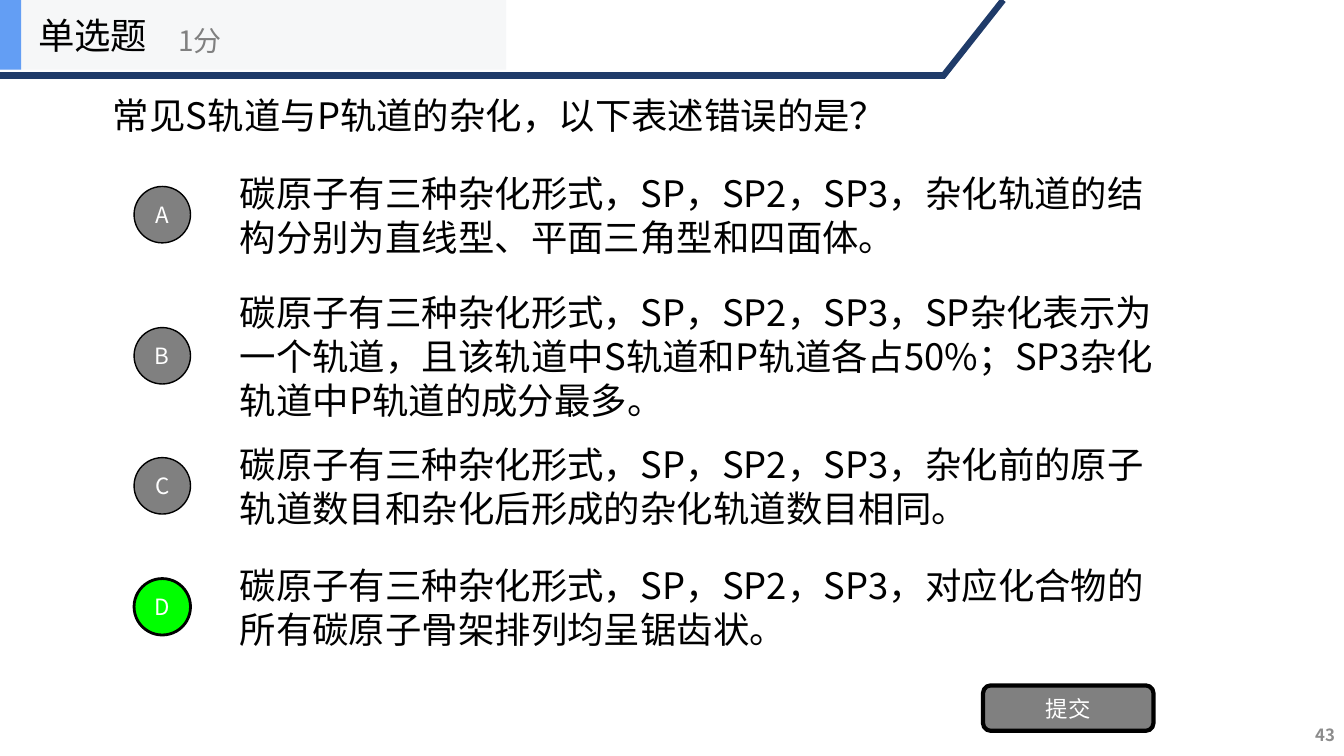
from dataclasses import dataclass

from lxml import etree
from pptx import Presentation
from pptx import util as u
from pptx.dml.color import RGBColor
from pptx.enum import shapes, text
from pptx.oxml.ns import qn
from pptx.shapes.autoshape import Shape
from pptx.slide import Slide

PX = 9144  # 100 px to the inch
FONT = "Noto Sans CJK SC"
BLACK = RGBColor(0x00, 0x00, 0x00)
WHITE = RGBColor(0xFF, 0xFF, 0xFF)
GREY = RGBColor(0x80, 0x80, 0x80)
PAGE_GREY = RGBColor(0x8C, 0x8C, 0x8C)
GREEN = RGBColor(0x00, 0xFF, 0x00)
NAVY = RGBColor(0x1F, 0x3B, 0x69)
BLUE = RGBColor(0x63, 0x9E, 0xF4)
PALE = RGBColor(0xF6, 0xF7, 0xF8)

LEFT, CENTER, RIGHT = text.PP_ALIGN.LEFT, text.PP_ALIGN.CENTER, text.PP_ALIGN.RIGHT
OVAL = shapes.MSO_SHAPE.OVAL
RECTANGLE = shapes.MSO_SHAPE.RECTANGLE
ROUNDED = shapes.MSO_SHAPE.ROUNDED_RECTANGLE


@dataclass(frozen=True)
class Box:
    left: int
    top: int
    width: int
    height: int

    def emu(self) -> tuple[int, int, int, int]:
        return self.left * PX, self.top * PX, self.width * PX, self.height * PX


@dataclass(frozen=True)
class Option:
    letter: str
    middle: int
    statement: str
    correct: bool = False


COMMON = "碳原子有三种杂化形式，SP，SP2，SP3，"
OPTIONS = [
    Option("A", 213, "杂化轨道的结构分别为直线型、平面三角型和四面体。"),
    Option("B", 353, "SP杂化表示为一个轨道，且该轨道中S轨道和P轨道各占50%；"
                     "SP3杂化轨道中P轨道的成分最多。"),
    Option("C", 482, "杂化前的原子轨道数目和杂化后形成的杂化轨道数目相同。"),
    Option("D", 602, "对应化合物的所有碳原子骨架排列均呈锯齿状。", correct=True),
]


def write(shape: Shape, words: str, size: int, color: RGBColor,
          align: text.PP_ALIGN = LEFT, wrap: bool = True, bold: bool = False) -> None:
    frame = shape.text_frame
    frame.text = words
    frame.word_wrap = wrap
    frame.auto_size = text.MSO_AUTO_SIZE.NONE
    frame.vertical_anchor = text.MSO_ANCHOR.MIDDLE
    paragraph = frame.paragraphs[0]
    paragraph.alignment = align
    paragraph.line_spacing = u.Pt(size * 1.2)
    font = paragraph.font
    font.name, font.size, font.bold = FONT, u.Pt(size), bold
    font.color.rgb = color
    defaults = paragraph._p.pPr.find(qn("a:defRPr"))
    east_asian = etree.Element(qn("a:ea"), typeface=FONT)
    defaults.find(qn("a:latin")).addnext(east_asian)


def add_label(slide: Slide, box: Box, words: str, size: int, color: RGBColor,
              align: text.PP_ALIGN = LEFT, wrap: bool = True, bold: bool = False) -> None:
    write(slide.shapes.add_textbox(*box.emu()), words, size, color, align, wrap, bold)


def add_filled(slide: Slide, kind: shapes.MSO_SHAPE, box: Box, fill: RGBColor,
               outline: int = 0) -> Shape:
    """Add a preset shape with a black outline of the given points, or none."""
    shape = slide.shapes.add_shape(kind, *box.emu())
    shape.shadow.inherit = False
    shape.fill.solid()
    shape.fill.fore_color.rgb = fill
    if outline:
        shape.line.color.rgb = BLACK
        shape.line.width = u.Pt(outline)
    else:
        shape.line.fill.background()
    return shape


def add_rule(slide: Slide, x1: int, y1: int, x2: int, y2: int) -> None:
    rule = slide.shapes.add_connector(
        shapes.MSO_CONNECTOR.STRAIGHT, x1 * PX, y1 * PX, x2 * PX, y2 * PX)
    rule.line.color.rgb = NAVY
    rule.line.width = u.Pt(4.5)
    etree.SubElement(rule._element.spPr, qn("a:effectLst"))


def add_option(slide: Slide, option: Option) -> None:
    add_label(slide, Box(228, option.middle - 35, 933, 70),
              COMMON + option.statement, 26, BLACK)
    badge = add_filled(slide, OVAL, Box(133, option.middle - 28, 56, 56),
                       GREEN if option.correct else GREY, 2 if option.correct else 1)
    write(badge, option.letter, 16, WHITE, CENTER, wrap=False)


def add_header(slide: Slide) -> None:
    add_rule(slide, 0, 75, 937, 75)
    add_rule(slide, 935, 76, 995, 0)
    add_filled(slide, RECTANGLE, Box(0, 0, 502, 69), PALE)
    add_filled(slide, RECTANGLE, Box(0, 0, 21, 69), BLUE)
    add_label(slide, Box(28, 0, 208, 69), "单选题", 26, BLACK, wrap=False)
    add_label(slide, Box(167, 12, 250, 56), "1分", 20, GREY, wrap=False)


def main() -> None:
    deck = Presentation()
    deck.slide_width, deck.slide_height = 1333 * PX, 750 * PX
    slide = deck.slides.add_slide(deck.slide_layouts.get_by_name("Title Only"))

    question = slide.shapes.title
    question.left, question.top, question.width, question.height = Box(102, 76, 1067, 77).emu()
    write(question, "常见S轨道与P轨道的杂化，以下表述错误的是？", 26, BLACK)

    for option in OPTIONS:
        add_option(slide, option)

    submit = add_filled(slide, ROUNDED, Box(975, 680, 169, 45), GREY, 3)
    write(submit, "提交", 16, WHITE, CENTER)

    add_header(slide)
    add_label(slide, Box(1284, 699, 50, 60), "43", 12, PAGE_GREY, RIGHT, bold=True)
    deck.save("out.pptx")


if __name__ == "__main__":
    main()
